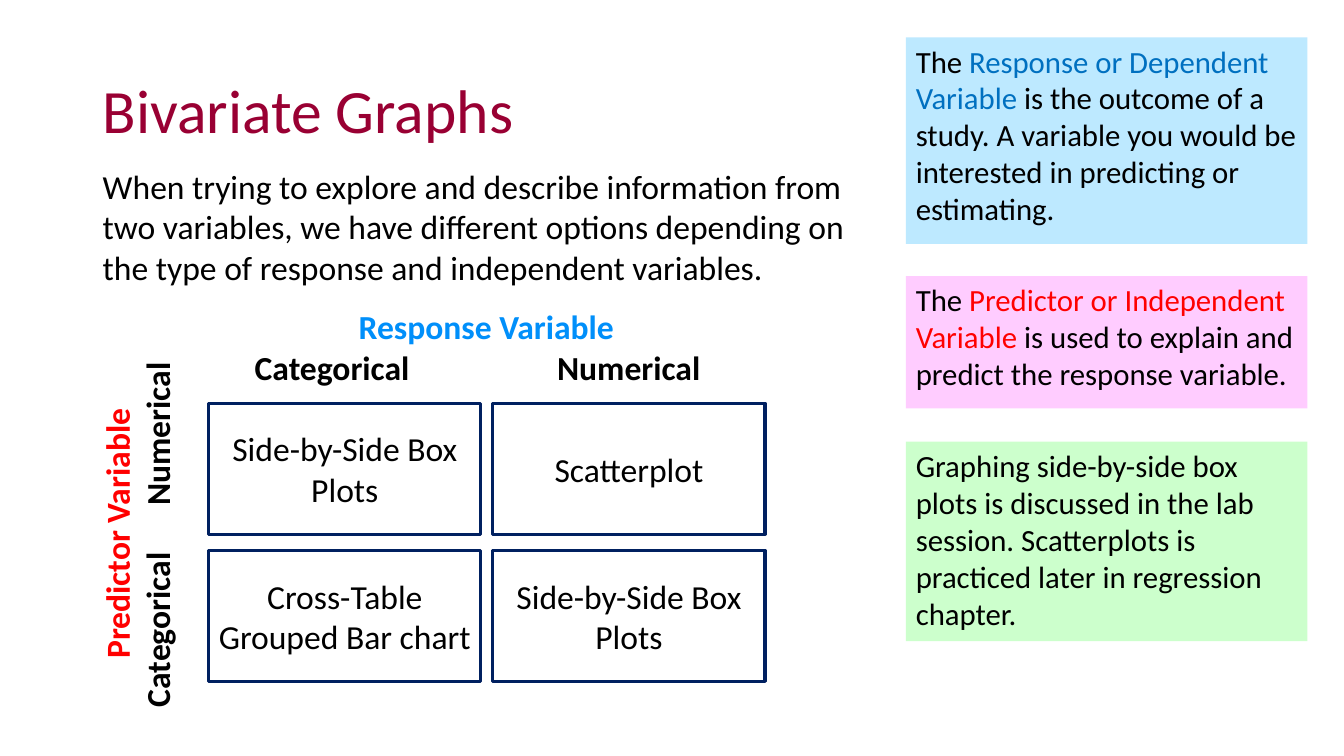
import pptx
import pptx.util
import pptx.dml.color
import pptx.enum.shapes
import pptx.enum.text
import lxml.etree

Cm = pptx.util.Cm
Pt = pptx.util.Pt
ALIGN = pptx.enum.text.PP_ALIGN
ANCHOR = pptx.enum.text.MSO_ANCHOR
BLACK = "000000"


def color(code):
    return pptx.dml.color.RGBColor.from_string(code)


def assign(item, style):
    for name, value in style.items():
        setattr(item, name, value)


class Board:
    font = {"name": "Calibri", "size": Pt(24), "bold": False}
    left = {"alignment": ALIGN.LEFT}
    center = {"alignment": ALIGN.CENTER}

    def __init__(self, deck):
        self.slide = deck.slides.add_slide(deck.slide_layouts[5])

    def label(self, shape, lines, anchor=ANCHOR.TOP, **font):
        frame = shape.text_frame
        assign(frame, {"word_wrap": True, "vertical_anchor": anchor})
        for i, (style, runs) in enumerate(lines):
            para = frame.add_paragraph() if i else frame.paragraphs[0]
            assign(para, style)
            for text, ink in runs:
                run = para.add_run()
                run.text = text
                assign(run.font, {**self.font, **font})
                run.font.color.rgb = color(ink)
        return frame

    def title(self, text, *area):
        shape = self.slide.shapes.title
        assign(shape, dict(zip(("left", "top", "width", "height"), map(Cm, area))))
        style = {**self.left, "line_spacing": 0.9}
        self.label(shape, [(style, [(text, "990033")])], ANCHOR.MIDDLE, size=Pt(44))

    def text(self, lines, *area, turn=0, **font):
        shape = self.slide.shapes.add_textbox(*map(Cm, area))
        shape.rotation = turn
        return self.label(shape, lines, **font)

    def rect(self, *area):
        kind = pptx.enum.shapes.MSO_SHAPE.RECTANGLE
        shape = self.slide.shapes.add_shape(kind, *map(Cm, area))
        shape.shadow.inherit = False
        return shape

    def note(self, runs, fill, top, height):
        shape = self.rect(22.83, top, 10.12, height)
        shape.fill.solid()
        shape.fill.fore_color.rgb = color(fill)
        shape.line.fill.background()
        self.label(shape, [(self.left, runs)], size=Pt(22))

    def cell(self, texts, row, col):
        shape = self.rect(5.26 + 7.16 * col, 10.16 + 3.71 * row, 6.86, 3.3)
        shape.fill.background()
        shape.line.color.rgb = color("002060")
        shape.line.width = Pt(2.25)
        lines = [(self.center, [(text, BLACK)]) for text in texts]
        self.label(shape, lines, ANCHOR.MIDDLE)

    def axis(self, head, ink, levels, *area, turn=0):
        lines = [(self.center, [(head, ink)]), (self.left, [(levels, BLACK)])]
        frame = self.text(lines, *area, turn=turn, bold=True)
        props = frame.paragraphs[1]._p.get_or_add_pPr()
        space = "{http://schemas.openxmlformats.org/drawingml/2006/main}"
        tabs = lxml.etree.SubElement(props, space + "tabLst")
        for stop in (5.08, 7.62):
            lxml.etree.SubElement(tabs, space + "tab", pos=str(int(Cm(stop))), algn="l")


def main():
    deck = pptx.Presentation()
    assign(deck, {"slide_width": Cm(33.87), "slide_height": Cm(19.05)})
    board = Board(deck)
    board.title("Bivariate Graphs", 2.34, 1.02, 16.97, 3.68)
    intro = (
        "When trying to explore and describe information from two variables, "
        "we have different options depending on the type of response and "
        "independent variables."
    )
    board.text([(board.left, [(intro, BLACK)])], 2.34, 4.06, 19.76, 3.33)

    board.axis("Response Variable", "008FFA", "Categorical \t\tNumerical",
               6.17, 7.59, 12.17, 2.31)
    board.axis("Predictor Variable", "FF0000", "Categorical \tNumerical",
               -1.17, 12.29, 9.25, 2.31, turn=270)

    box = ["Side-by-Side Box Plots"]
    grid = [
        [box, ["Scatterplot"]],
        [["Cross-Table", "Grouped Bar chart"], box],
    ]
    for row, cells in enumerate(grid):
        for col, texts in enumerate(cells):
            board.cell(texts, row, col)

    board.note([
        ("The ", BLACK),
        ("Response or Dependent Variable ", "0070C0"),
        ("is the outcome of a study. A variable you would be interested "
         "in predicting or estimating.", BLACK),
    ], "BDE9FF", 0.94, 5.21)
    board.note([
        ("The ", BLACK),
        ("Predictor or Independent Variable", "FF0000"),
        (" is used to explain and predict the response variable.", BLACK),
    ], "FFCCFF", 6.96, 3.33)
    board.note([
        ("Graphing side-by-side box plots is discussed in the lab session. "
         "Scatterplots is practiced later in regression chapter.", BLACK),
    ], "CCFFCC", 11.13, 5.03)
    deck.save("out.pptx")


if __name__ == "__main__":
    main()
